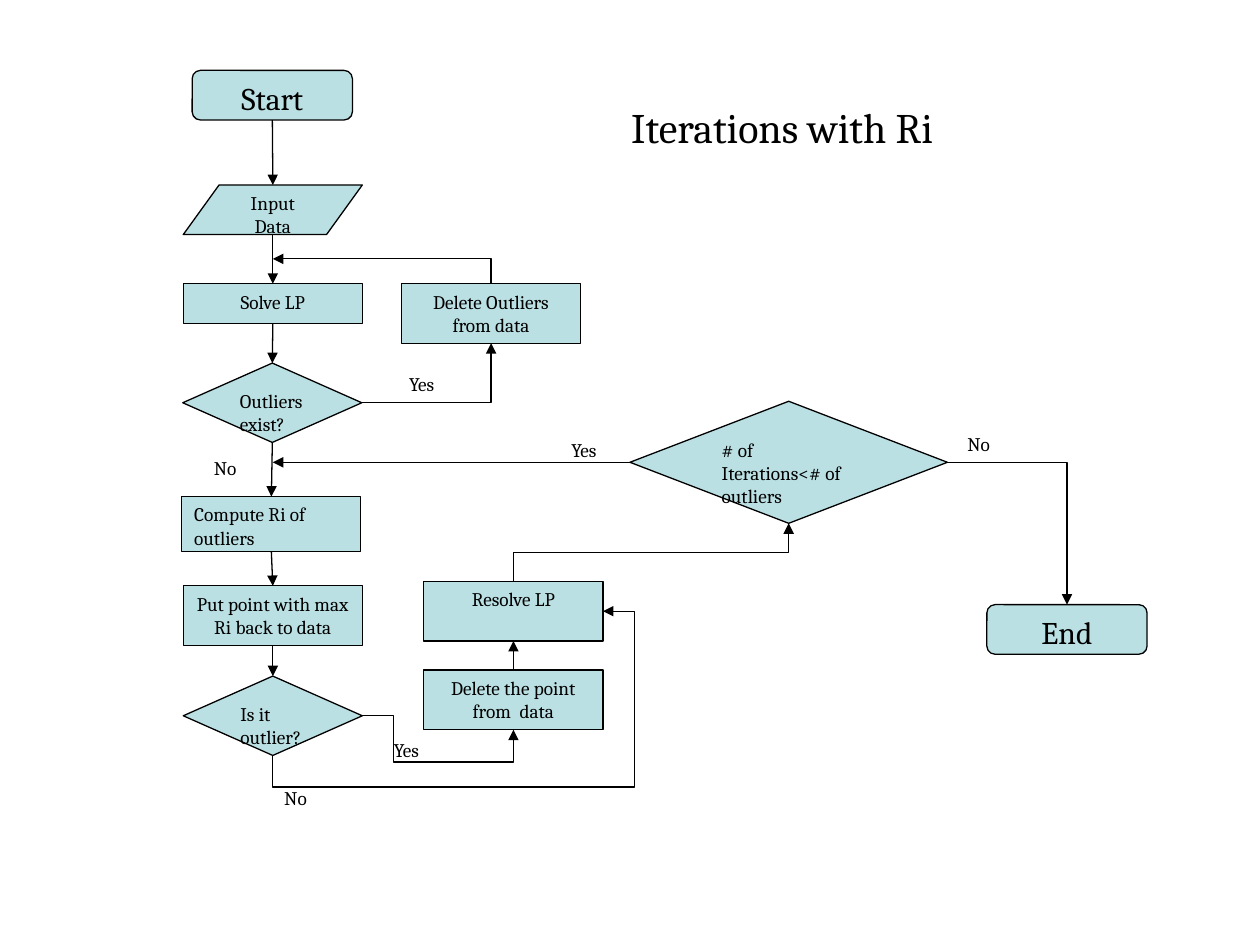
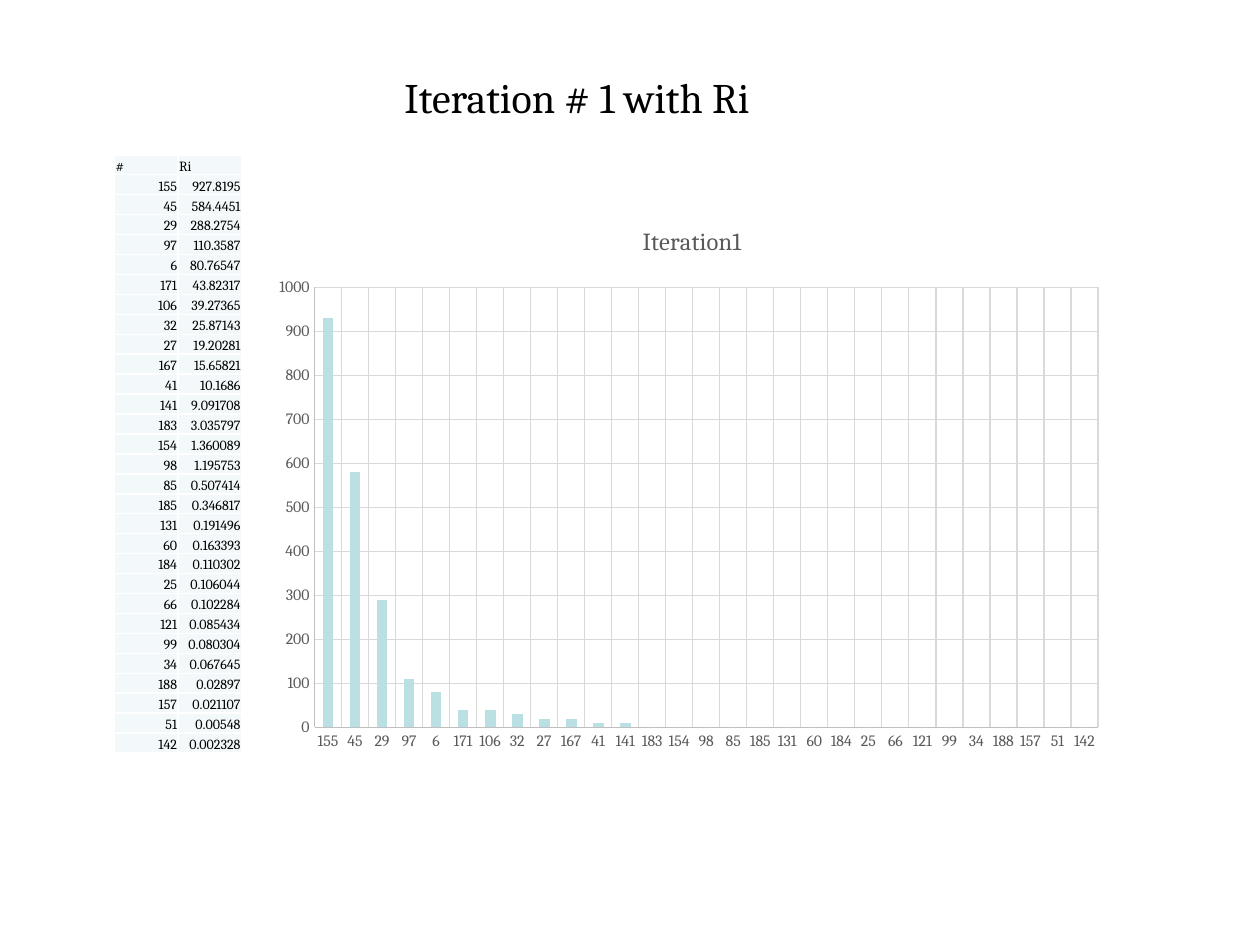
from lxml import etree
from pptx import Presentation
from pptx import util as u
from pptx.chart.data import CategoryChartData
from pptx.dml.color import RGBColor
from pptx.enum import chart as charts, shapes, text
from pptx.oxml import parse_xml
from pptx.oxml.ns import nsdecls, qn

FONT = "Cambria"
BLACK, WHITE, GREY = "000000", "FFFFFF", "595959"
AQUA, PALE_AQUA = "BBE0E3", "F3F9FA"
AXIS_GREY, GRID_GREY = "BFBFBF", "D9D9D9"
TOP, LEFT, BOTTOM, RIGHT = range(4)

RANKING = [
    ("155", "927.8195"), ("45", "584.4451"), ("29", "288.2754"),
    ("97", "110.3587"), ("6", "80.76547"), ("171", "43.82317"),
    ("106", "39.27365"), ("32", "25.87143"), ("27", "19.20281"),
    ("167", "15.65821"), ("41", "10.1686"), ("141", "9.091708"),
    ("183", "3.035797"), ("154", "1.360089"), ("98", "1.195753"),
    ("85", "0.507414"), ("185", "0.346817"), ("131", "0.191496"),
    ("60", "0.163393"), ("184", "0.110302"), ("25", "0.106044"),
    ("66", "0.102284"), ("121", "0.085434"), ("99", "0.080304"),
    ("34", "0.067645"), ("188", "0.02897"), ("157", "0.021107"),
    ("51", "0.00548"), ("142", "0.002328"),
]


def color(hex_string):
    return RGBColor.from_string(hex_string)


def set_font(font, size, hex_string=BLACK):
    font.name, font.size, font.bold = FONT, u.Pt(size), False
    font.color.rgb = color(hex_string)


def set_line(line, hex_string):
    line.color.rgb = color(hex_string)
    line.width = u.Pt(0.75)


def write(frame, content, *, size=11, align=text.PP_ALIGN.LEFT, hex_string=BLACK):
    paragraph = frame.paragraphs[0]
    paragraph.alignment = align
    run = paragraph.add_run()
    run.text = content
    set_font(run.font, size, hex_string)


def side(shape, index):
    """Middle of one side of a shape, numbered as its connection sites."""
    middle_x = shape.left + shape.width // 2
    middle_y = shape.top + shape.height // 2
    return [(middle_x, shape.top), (shape.left, middle_y),
            (middle_x, shape.top + shape.height),
            (shape.left + shape.width, middle_y)][index]


def place_in_chart(element, **fractions):
    """Fix the place of a chart title or plot area, in parts of the chart."""
    layout = element.get_or_add_layout() if hasattr(element, "get_or_add_layout") \
        else element.find(qn("c:layout"))
    if layout is None:
        layout = etree.Element(qn("c:layout"))
        element.insert(0, layout)
    for child in list(layout):
        layout.remove(child)
    manual = etree.SubElement(layout, qn("c:manualLayout"))
    settings = {"xMode": "edge", "yMode": "edge", **fractions}
    if "w" in fractions:
        settings = {"layoutTarget": "inner", **settings}
    for name, value in settings.items():
        etree.SubElement(manual, qn(f"c:{name}")).set("val", str(value))


class Deck:
    def __init__(self):
        self.presentation = Presentation()
        self.presentation.slide_width = u.Cm(25.4)
        self.presentation.slide_height = u.Cm(19.05)
        self.slide = None

    def add_slide(self, title, left, top):
        layout = self.presentation.slide_layouts[5]
        self.slide = self.presentation.slides.add_slide(layout)
        shape = self.slide.shapes.title
        shape.left, shape.top = u.Cm(left), u.Cm(top)
        shape.width, shape.height = u.Cm(10.44), u.Cm(1.28)
        frame = shape.text_frame
        frame.auto_size = text.MSO_AUTO_SIZE.NONE
        frame.vertical_anchor = text.MSO_ANCHOR.TOP
        write(frame, title, size=24)

    def node(self, kind, label, middle, top, height, width=3.61, **style):
        """Flowchart shape centred on the vertical line at middle."""
        shape = self.slide.shapes.add_shape(
            kind, u.Cm(middle - width / 2), u.Cm(top), u.Cm(width), u.Cm(height))
        shape.shadow.inherit = False
        shape.fill.solid()
        shape.fill.fore_color.rgb = color(AQUA)
        set_line(shape.line, BLACK)
        frame = shape.text_frame
        frame.word_wrap = True
        frame.vertical_anchor = text.MSO_ANCHOR.TOP
        write(frame, label, **style)
        return shape

    def process(self, label, middle, top, height=1.2, align=text.PP_ALIGN.CENTER):
        return self.node(shapes.MSO_SHAPE.FLOWCHART_PROCESS, label, middle, top,
                         height, align=align)

    def decision(self, label, middle, top, height=1.6, width=3.61):
        return self.node(shapes.MSO_SHAPE.FLOWCHART_DECISION, label, middle, top,
                         height, width)

    def terminal(self, label, middle, top):
        return self.node(shapes.MSO_SHAPE.ROUNDED_RECTANGLE, label, middle, top,
                         1, 3.23, size=18, align=text.PP_ALIGN.CENTER)

    def label(self, content, left, top):
        box = self.slide.shapes.add_textbox(
            u.Cm(left), u.Cm(top), u.Cm(1.2), u.Cm(0.73))
        box.text_frame.word_wrap = True
        write(box.text_frame, content)

    def connector(self, kind, start, end):
        connector = self.slide.shapes.add_connector(kind, *start, *end)
        set_line(connector.line, BLACK)
        line = connector.line._get_or_add_ln()
        etree.SubElement(line, qn("a:tailEnd")).set("type", "triangle")
        etree.SubElement(connector._element.spPr, qn("a:effectLst"))
        return connector

    def arrow(self, source, target, exit_side=BOTTOM, entry_side=TOP):
        connector = self.connector(shapes.MSO_CONNECTOR.STRAIGHT,
                                   side(source, exit_side), side(target, entry_side))
        connector.begin_connect(source, exit_side)
        connector.end_connect(target, entry_side)

    def arrow_to_point(self, source, exit_side, point):
        connector = self.connector(shapes.MSO_CONNECTOR.STRAIGHT,
                                   side(source, exit_side), point)
        connector.begin_connect(source, exit_side)

    def elbow(self, start, end, segments, rotation=0, flip=False, bends=()):
        """Bent arrow; bends place its inner segments in 1/100000 of its box."""
        middle_x, middle_y = ((a + b) // 2 for a, b in zip(start, end))
        width, height = (abs(a - b) for a, b in zip(start, end))
        if rotation % 180:
            width, height = height, width
        left, top = middle_x - width // 2, middle_y - height // 2
        connector = self.connector(shapes.MSO_CONNECTOR.ELBOW, (left, top),
                                   (left + width, top + height))
        properties = connector._element.spPr
        frame = properties.find(qn("a:xfrm"))
        frame.set("rot", str(rotation * 60000))
        frame.set("flipV", str(int(flip)))
        geometry = properties.find(qn("a:prstGeom"))
        geometry.set("prst", f"bentConnector{segments}")
        for number, bend in enumerate(bends, 1):
            guide = etree.SubElement(geometry.find(qn("a:avLst")), qn("a:gd"))
            guide.set("name", f"adj{number}")
            guide.set("fmla", f"val {bend}")

    def cell(self, cell, content, align):
        cell.margin_left = cell.margin_right = cell.margin_top = u.Cm(0.02)
        cell.margin_bottom = 0
        cell.vertical_anchor = text.MSO_ANCHOR.BOTTOM
        write(cell.text_frame, content, size=8, align=align)
        properties = cell._tc.get_or_add_tcPr()
        for edge in ("lnL", "lnR", "lnT", "lnB"):
            properties.append(parse_xml(
                f'<a:{edge} {nsdecls("a")} w="12700"><a:solidFill>'
                f'<a:srgbClr val="{WHITE}"/></a:solidFill></a:{edge}>'))
        cell.fill.solid()
        cell.fill.fore_color.rgb = color(PALE_AQUA)

    def table(self, rows, left, top, width, height):
        table = self.slide.shapes.add_table(
            len(rows), len(rows[0]), u.Cm(left), u.Cm(top),
            u.Cm(width), u.Cm(height)).table
        table.first_row = table.horz_banding = False
        for row_index, row in enumerate(rows):
            table.rows[row_index].height = u.Cm(height / len(rows))
            align = text.PP_ALIGN.RIGHT if row_index else text.PP_ALIGN.LEFT
            for column_index, content in enumerate(row):
                self.cell(table.cell(row_index, column_index), content, align)

    def column_chart(self, title, pairs, left, top, width, height):
        """Column chart of the pairs, with values rounded to tens."""
        data = CategoryChartData()
        data.categories = [name for name, _ in pairs]
        data.add_series("Series 1", [round(float(value), -1) for _, value in pairs])
        chart = self.slide.shapes.add_chart(
            charts.XL_CHART_TYPE.COLUMN_CLUSTERED, u.Cm(left), u.Cm(top),
            u.Cm(width), u.Cm(height), data).chart
        set_font(chart.font, 10)
        chart.has_legend = False
        chart.has_title = True
        write(chart.chart_title.text_frame, title, size=14, hex_string=GREY)
        place_in_chart(chart.chart_title._element, x=0.44, y=0.03)
        place_in_chart(chart._chartSpace.chart.plotArea,
                       x=0.06, y=0.15, w=0.92, h=0.79)
        for axis in (chart.category_axis, chart.value_axis):
            axis.major_tick_mark = axis.minor_tick_mark = charts.XL_TICK_MARK.NONE
            axis.has_major_gridlines = True
            set_line(axis.major_gridlines.format.line, GRID_GREY)
            set_line(axis.format.line, AXIS_GREY)
            set_font(axis.tick_labels.font, 9, GREY)
        chart.value_axis.maximum_scale = 1000
        chart.value_axis.major_unit = 100
        plot = chart.plots[0]
        plot.vary_by_categories = False
        plot.gap_width = 150
        fill = plot.series[0].format.fill
        fill.solid()
        fill.fore_color.rgb = color(AQUA)


def add_flowchart(deck):
    deck.add_slide("Iterations with Ri", 12.47, 1.92)
    main, resolving = 5.5, 10.35

    start = deck.terminal("Start", main - 0.01, 1.42)
    input_data = deck.node(shapes.MSO_SHAPE.FLOWCHART_DATA, "Input Data", main,
                           3.73, 1, align=text.PP_ALIGN.CENTER)
    solve = deck.process("Solve LP", main, 5.72, 0.8)
    outliers_exist = deck.decision("Outliers exist?", main - 0.01, 7.32)
    compute = deck.process("Compute Ri of  outliers", main - 0.03, 10.01, 1.11,
                           text.PP_ALIGN.LEFT)
    put_back = deck.process("Put point with max Ri back to data", main, 11.81)
    is_outlier = deck.decision("Is it outlier?", main, 13.63)
    main_steps = [start, input_data, solve, outliers_exist, compute, put_back,
                  is_outlier]
    for source, target in zip(main_steps, main_steps[1:]):
        deck.arrow(source, target)

    delete_outliers = deck.process("Delete Outliers from data", 9.9, 5.72)
    delete_point = deck.process("Delete the point from  data", resolving, 13.51)
    resolve = deck.process("Resolve LP", resolving, 11.72)
    iterations_left = deck.decision("# of Iterations<# of outliers", 15.9, 8.09,
                                    2.46, 6.4)
    end = deck.terminal("End", 21.51, 12.19)

    deck.arrow(delete_point, resolve, TOP, BOTTOM)
    deck.arrow_to_point(iterations_left, LEFT,
                        (u.Cm(main), side(iterations_left, LEFT)[1]))
    deck.elbow(side(outliers_exist, RIGHT), side(delete_outliers, BOTTOM), 2,
               flip=True)
    deck.elbow(side(delete_outliers, TOP), (u.Cm(main), u.Cm(5.22)), 2,
               rotation=270, flip=True)
    deck.elbow(side(is_outlier, RIGHT), side(delete_point, BOTTOM), 4,
               bends=(20500, 333000))
    deck.elbow(side(is_outlier, BOTTOM), side(resolve, RIGHT), 4, rotation=270,
               bends=(-21800, 109500))
    deck.elbow(side(resolve, TOP), side(iterations_left, BOTTOM), 3, rotation=270)
    deck.elbow(side(iterations_left, RIGHT), side(end, TOP), 2)

    for answer, left, top in [("Yes", 8, 7.38), ("No", 4.06, 9.07),
                              ("Yes", 7.69, 14.76), ("No", 5.48, 15.72),
                              ("Yes", 11.27, 8.71), ("No", 19.25, 8.59)]:
        deck.label(answer, left, top)


def add_first_iteration(deck):
    deck.add_slide("Iteration # 1 with Ri", 7.9, 1.32)
    deck.table([("#", "Ri"), *RANKING], 2.31, 3.12, 2.56, 12.06)
    deck.column_chart("Iteration1", RANKING, 5.31, 4.11, 17.17, 11.23)


def main():
    deck = Deck()
    add_flowchart(deck)
    add_first_iteration(deck)
    deck.presentation.save("out.pptx")


if __name__ == "__main__":
    main()
